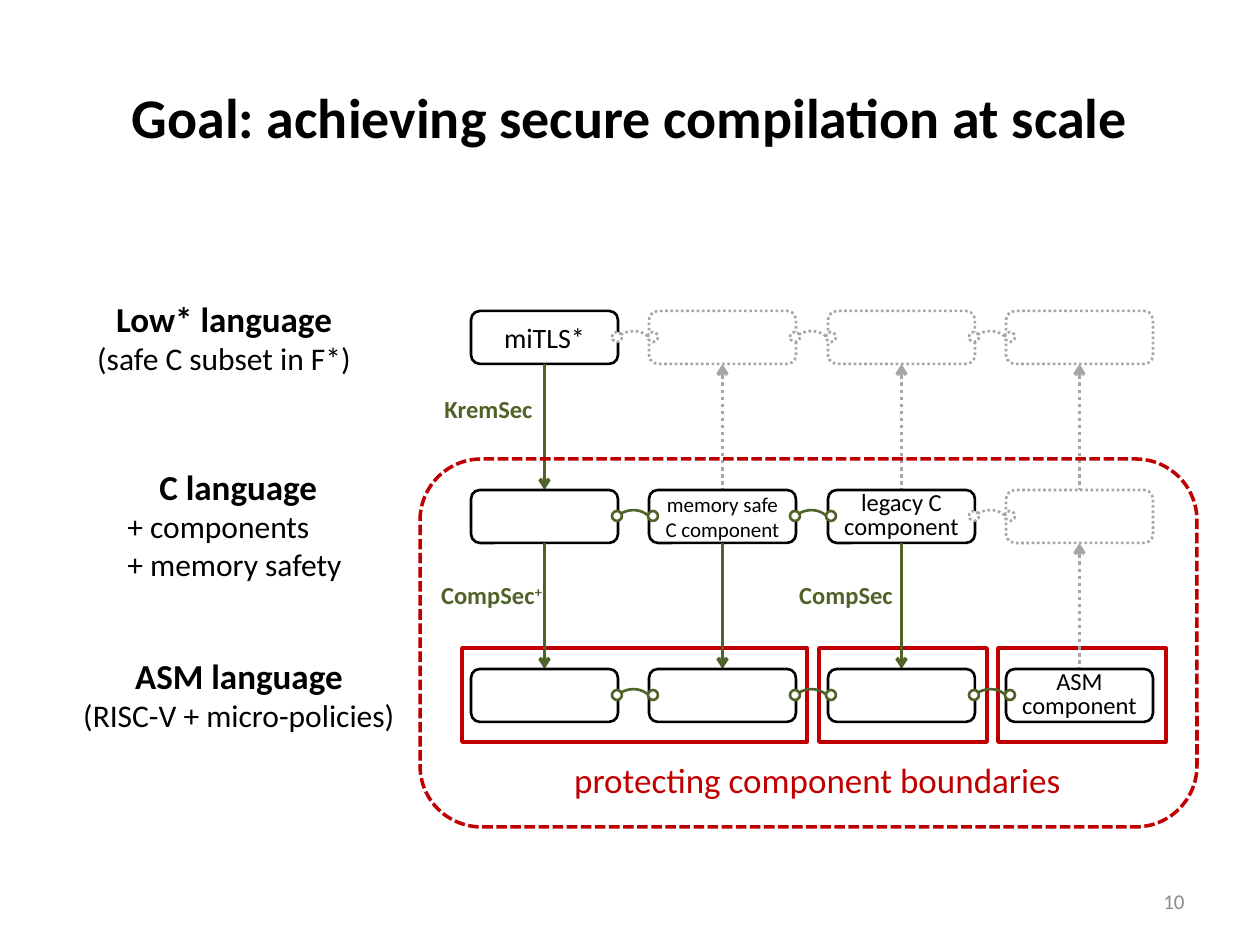
"""Build the slide on secure compilation at scale."""
from lxml.etree import SubElement
from pptx import Presentation
from pptx.dml.color import RGBColor
from pptx.enum.dml import MSO_LINE
from pptx.enum.shapes import MSO_CONNECTOR, MSO_SHAPE
from pptx.enum.text import MSO_ANCHOR, MSO_AUTO_SIZE, PP_ALIGN
from pptx.oxml.ns import qn
from pptx.util import Pt

SCALE = 914400 / 126
COLORS = {"black": "000000", "white": "FFFFFF", "green": "4F6228",
          "gray": "A6A6A6", "red": "C00000", "number": "8C8C8C"}
BOX_WIDTH, BOX_HEIGHT = 147, 53
COLUMNS = [471 + column * 357 // 2 for column in range(4)]
ROWS = [311, 490, 669]


def emu(pixels):
    return round(pixels * SCALE)


def color(name):
    return RGBColor.from_string(COLORS[name])


class Diagram:
    """Slide with one shared style for text, boxes, arrows and links."""

    font_name = "Calibri"

    def __init__(self, slide):
        self.slide = slide

    def style_font(self, font, size, color_name, bold=False):
        font.name, font.size, font.bold = self.font_name, Pt(size), bold
        font.color.rgb = color(color_name)

    def style_line(self, line, color_name, width, dash=None):
        line.color.rgb = color(color_name)
        line.width = Pt(width)
        if dash:
            line.dash_style = dash

    def title(self, text, *place):
        shape = self.slide.shapes.title
        shape.left, shape.top, shape.width, shape.height = map(emu, place)
        shape.text_frame.text = text
        shape.text_frame.vertical_anchor = MSO_ANCHOR.MIDDLE
        paragraph = shape.text_frame.paragraphs[0]
        paragraph.alignment = PP_ALIGN.CENTER
        self.style_font(paragraph.font, 32, "black", True)

    def text(self, place, lines, align=PP_ALIGN.CENTER, anchor=MSO_ANCHOR.TOP):
        frame = self.slide.shapes.add_textbox(*map(emu, place)).text_frame
        frame.word_wrap = False
        frame.auto_size = MSO_AUTO_SIZE.NONE
        frame.vertical_anchor = anchor
        for index, (text, size, color_name, bold) in enumerate(lines):
            paragraph = frame.add_paragraph() if index else frame.paragraphs[0]
            paragraph.add_run().text = text
            paragraph.alignment = align
            self.style_font(paragraph.font, size, color_name, bold)
        return frame

    def language(self, place, name, details, align=PP_ALIGN.CENTER):
        lines = [(name, 20, "black", True)]
        lines += [(detail, 18, "black", False) for detail in details]
        return self.text(place, lines, align)

    def compiler(self, place, name):
        return self.text(place, [(name, 14, "green", True)])

    def shape(self, kind, place, line, width=1.5, dash=None, fill=None, parent=None):
        shapes = (parent or self.slide).shapes
        shape = shapes.add_shape(kind, *map(emu, place))
        shape.shadow.inherit = False
        if fill:
            shape.fill.solid()
            shape.fill.fore_color.rgb = color(fill)
        else:
            shape.fill.background()
        self.style_line(shape.line, line, width, dash)
        return shape

    def component(self, column, row, solid, text="", size=14, spacing=None):
        place = (COLUMNS[column], ROWS[row], BOX_WIDTH, BOX_HEIGHT)
        line, dash = ("black", None) if solid else ("gray", MSO_LINE.ROUND_DOT)
        shape = self.shape(MSO_SHAPE.ROUNDED_RECTANGLE, place, line, dash=dash, fill="white")
        if text:
            frame = shape.text_frame
            frame.text = text
            frame.vertical_anchor = MSO_ANCHOR.MIDDLE
            paragraph = frame.paragraphs[0]
            paragraph.alignment = PP_ALIGN.CENTER
            paragraph.line_spacing = spacing
            self.style_font(paragraph.font, size, "black")

    def arrow(self, column, row, solid):
        x = emu(COLUMNS[column] + BOX_WIDTH / 2)
        connector = self.slide.shapes.add_connector(
            MSO_CONNECTOR.STRAIGHT, x, emu(ROWS[row] + BOX_HEIGHT), x, emu(ROWS[row + 1]))
        if solid:
            self.style_line(connector.line, "green", 2)
        else:
            self.style_line(connector.line, "gray", 2, MSO_LINE.ROUND_DOT)
        end = "a:tailEnd" if solid else "a:headEnd"
        SubElement(connector.line._get_or_add_ln(), qn(end), type="arrow")
        SubElement(connector._element.spPr, qn("a:effectLst"))

    def link(self, column, row, solid):
        x, y = COLUMNS[column], ROWS[row] + 21
        line, dash = ("green", None) if solid else ("gray", MSO_LINE.ROUND_DOT)
        group = self.slide.shapes.add_group_shape()
        arc = self.shape(MSO_SHAPE.ARC, (x + 136, y, 49, 45), line, dash=dash, parent=group)
        arc.rotation = 317.9
        for offset in (141, 177):
            self.shape(MSO_SHAPE.OVAL, (x + offset, y, 10, 10), line, dash=dash,
                       fill="white", parent=group)


def main():
    presentation = Presentation()
    presentation.slide_width, presentation.slide_height = emu(1260), emu(945)
    diagram = Diagram(presentation.slides.add_slide(presentation.slide_layouts[5]))

    diagram.title("Goal: achieving secure compilation at scale", 63, 38, 1134, 157)
    diagram.text((903, 876, 294, 50), [("10", 12, "number", False)],
                 PP_ALIGN.RIGHT, MSO_ANCHOR.MIDDLE)

    for left, width in ((462, 345), (819, 168), (998, 168)):
        diagram.shape(MSO_SHAPE.RECTANGLE, (left, 648, width, 94), "red", 2)

    captions = {(0, 0): ("miTLS*", 16), (1, 1): ("memory safe C component", 12),
                (2, 1): ("legacy C component", 14, 0.8),
                (3, 2): ("ASM component", 14, 0.8)}
    solid_components = [1, 3, 4]
    solid_links = [0, 2, 3]
    for row, solid_count in enumerate(solid_components):
        for column in range(4):
            diagram.component(column, row, column < solid_count,
                              *captions.get((column, row), ()))
            if row < 2:
                diagram.arrow(column, row, column < solid_count)
    for row, solid_count in enumerate(solid_links):
        for column in range(3):
            diagram.link(column, row, column < solid_count)

    diagram.compiler((428, 388, 121, 43), "KremSec")
    diagram.compiler((781, 574, 130, 43), "CompSec")
    frame = diagram.compiler((424, 574, 135, 43), "CompSec")
    superscript = frame.paragraphs[0].add_run()
    superscript.text = "+"
    superscript.font._element.set("baseline", "30000")
    diagram.text((559, 752, 517, 55),
                 [("protecting component boundaries", 20, "red", False)])

    diagram.language((83, 291, 282, 93), "Low* language", ["(safe C subset in F*)"])
    frame = diagram.language((115, 459, 249, 131), "C language",
                             ["+ components", "+ memory safety"], PP_ALIGN.LEFT)
    frame.paragraphs[0]._p.get_or_add_pPr().set("marL", str(emu(32)))
    diagram.language((69, 648, 340, 93), "ASM language", ["(RISC-V + micro-policies)"])

    diagram.shape(MSO_SHAPE.ROUNDED_RECTANGLE, (420, 459, 777, 368), "red", 2,
                  MSO_LINE.SQUARE_DOT)

    presentation.save("out.pptx")


if __name__ == "__main__":
    main()
